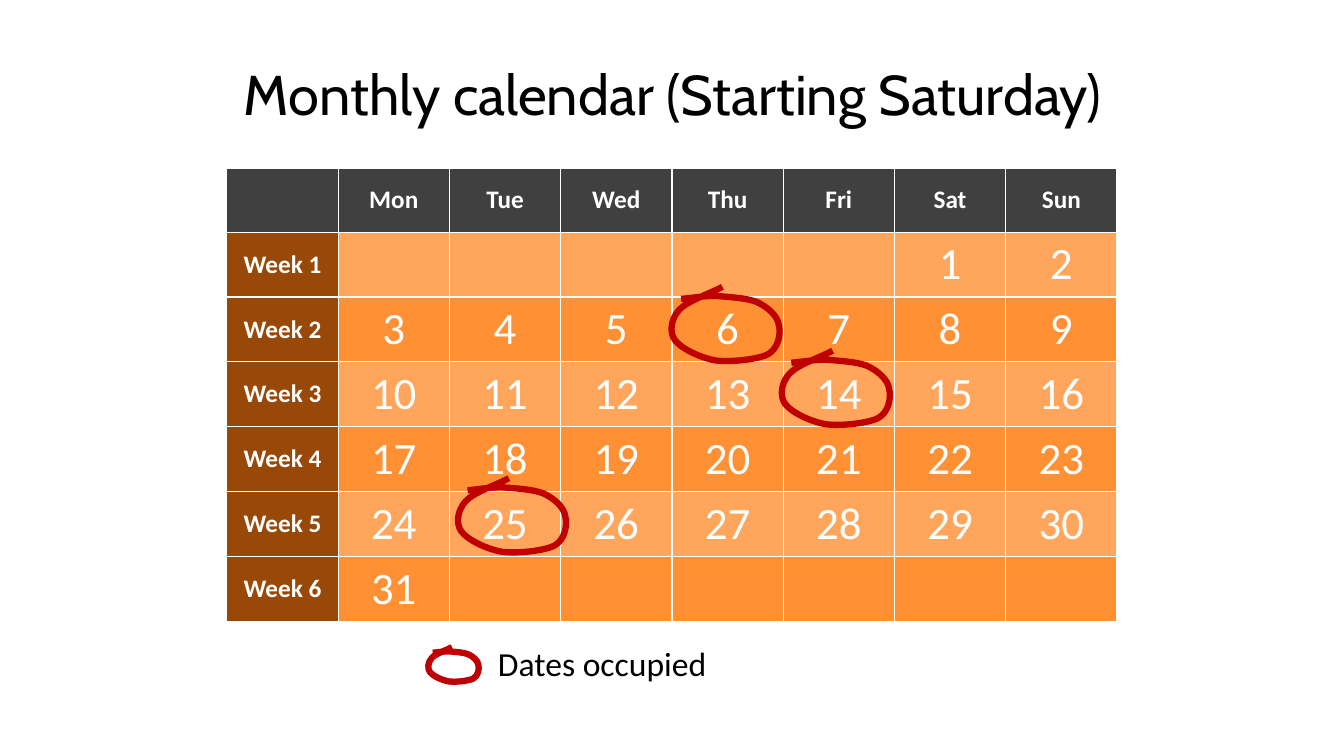
from dataclasses import dataclass

from lxml import etree
from pptx import Presentation
from pptx.dml.color import RGBColor
from pptx.enum.text import MSO_ANCHOR, MSO_AUTO_SIZE, PP_ALIGN
from pptx.oxml.ns import qn
from pptx.util import Inches, Pt

CENTER = PP_ALIGN.CENTER
MIDDLE = MSO_ANCHOR.MIDDLE
FIT_SHAPE = MSO_AUTO_SIZE.SHAPE_TO_FIT_TEXT
TITLE_ONLY = 5


@dataclass(frozen=True)
class Theme:
    title_font: str = "Cabin"
    body_font: str = "Calibri"
    title_size: int = 40
    date_size: int = 32
    legend_size: int = 24
    label_size: int = 18
    ring_width: float = 4.5
    black: str = "000000"
    white: str = "FFFFFF"
    weekday_fill: str = "404040"
    week_fill: str = "984807"
    odd_week_fill: str = "FFA65C"
    even_week_fill: str = "FF9033"
    ring: str = "C00000"


THEME = Theme()
WEEKDAYS = ["Mon", "Tue", "Wed", "Thu", "Fri", "Sat", "Sun"]
WEEKS = 6
DAYS_IN_MONTH = 31
FIRST_WEEKDAY = WEEKDAYS.index("Sat")

# Occupied dates, each with the sideways shift of its ring from the cell
OCCUPIED = {6: 0, 14: -0.01, 25: 0.09}
RING_RISE = 0.09
RING_SIZE = (1.07, 0.73)

# Hand-drawn ring in hundredths of an inch: start, then cubic curve points
RING_UNITS = 107, 73
RING_START = 50, 0
RING_CURVES = [
    (37, 7), (15, 14), (7, 23),
    (-1, 32), (-3, 45), (3, 53),
    (9, 61), (27, 70), (43, 73),
    (58, 75), (85, 72), (95, 67),
    (106, 61), (108, 46), (106, 38),
    (105, 29), (95, 20), (84, 15),
    (74, 11), (56, 10), (43, 9),
    (31, 9), (20, 11), (9, 12),
]


def style(paragraph, face, size, color, bold=False):
    font = paragraph.font
    font.name, font.size, font.bold = face, Pt(size), bold
    font.color.rgb = RGBColor.from_string(color)


def add_title(slide, left, top, width, height):
    title = slide.shapes.title
    title.left, title.top = Inches(left), Inches(top)
    title.width, title.height = Inches(width), Inches(height)
    title.text_frame.text = "Monthly calendar (Starting Saturday)"
    title.text_frame.vertical_anchor = MIDDLE
    heading = title.text_frame.paragraphs[0]
    heading.alignment = CENTER
    style(heading, THEME.title_font, THEME.title_size, THEME.black)


def add_borders(cell):
    properties = cell._tc.get_or_add_tcPr()
    for side in ("a:lnL", "a:lnR", "a:lnT", "a:lnB"):
        border = etree.SubElement(properties, qn(side), w=str(Pt(1)))
        solid = etree.SubElement(border, qn("a:solidFill"))
        etree.SubElement(solid, qn("a:srgbClr"), val=THEME.white)


def fill_cell(cell, text, fill, size, bold):
    cell.vertical_anchor = MIDDLE
    add_borders(cell)
    cell.fill.solid()
    cell.fill.fore_color.rgb = RGBColor.from_string(fill)
    if text:
        cell.text = text
        paragraph = cell.text_frame.paragraphs[0]
        paragraph.alignment = CENTER
        style(paragraph, THEME.body_font, size, THEME.white, bold)


def cell_content(week, column):
    """Return the text and fill of a cell; week 0 is the weekday row."""
    if week == 0:
        return ([""] + WEEKDAYS)[column], THEME.weekday_fill
    if column == 0:
        return f"Week {week}", THEME.week_fill
    date = (week - 1) * len(WEEKDAYS) + column - FIRST_WEEKDAY
    text = str(date) if 1 <= date <= DAYS_IN_MONTH else ""
    return text, THEME.odd_week_fill if week % 2 else THEME.even_week_fill


def add_ring(slide, left, top, width, height):
    scale = (Inches(width) / RING_UNITS[0], Inches(height) / RING_UNITS[1])
    builder = slide.shapes.build_freeform(*RING_START, scale=scale)
    builder.add_line_segments(RING_CURVES, close=False)
    ring = builder.convert_to_shape(Inches(left), Inches(top))
    ring.shadow.inherit = False
    ring.fill.background()
    ring.line.color.rgb = RGBColor.from_string(THEME.ring)
    ring.line.width = Pt(THEME.ring_width)
    # Every three segments become one smooth curve
    outline = ring._element.find(".//" + qn("a:path"))
    segments = outline.findall(qn("a:lnTo"))
    for first in range(0, len(segments), 3):
        curve = etree.SubElement(outline, qn("a:cubicBezTo"))
        for segment in segments[first:first + 3]:
            curve.append(segment[0])
            outline.remove(segment)


def add_calendar(slide, left, top, width, height):
    rows, columns = WEEKS + 1, len(WEEKDAYS) + 1
    calendar = slide.shapes.add_table(
        rows, columns, Inches(left), Inches(top), Inches(width), Inches(height)
    ).table
    for week in range(rows):
        for column in range(columns):
            text, fill = cell_content(week, column)
            is_label = week == 0 or column == 0
            size = THEME.label_size if is_label else THEME.date_size
            fill_cell(calendar.cell(week, column), text, fill, size, is_label)

    for date, shift in OCCUPIED.items():
        week, weekday = divmod(date - 1 + FIRST_WEEKDAY, len(WEEKDAYS))
        cell_left = left + (weekday + 1) * width / columns
        cell_top = top + (week + 1) * height / rows
        add_ring(slide, cell_left + shift, cell_top - RING_RISE, *RING_SIZE)


def add_legend(slide, left, top, width, height):
    add_ring(slide, left, top + 0.09, 0.5, 0.34)
    label_offset = 0.59
    label = slide.shapes.add_textbox(
        Inches(left + label_offset), Inches(top),
        Inches(width - label_offset), Inches(height)
    )
    frame = label.text_frame
    frame.word_wrap = False
    frame.auto_size = FIT_SHAPE
    frame.text = "Dates occupied"
    style(frame.paragraphs[0], THEME.body_font, THEME.legend_size, THEME.black)


def main():
    presentation = Presentation()
    presentation.slide_width = Inches(13.33)
    presentation.slide_height = Inches(7.5)
    slide = presentation.slides.add_slide(presentation.slide_layouts[TITLE_ONLY])
    add_title(slide, 0.67, 0.3, 12, 1.25)
    add_calendar(slide, 2.25, 1.67, 8.83, 4.43)
    add_legend(slide, 4.25, 6.33, 2.88, 0.5)
    presentation.save("out.pptx")


if __name__ == "__main__":
    main()
